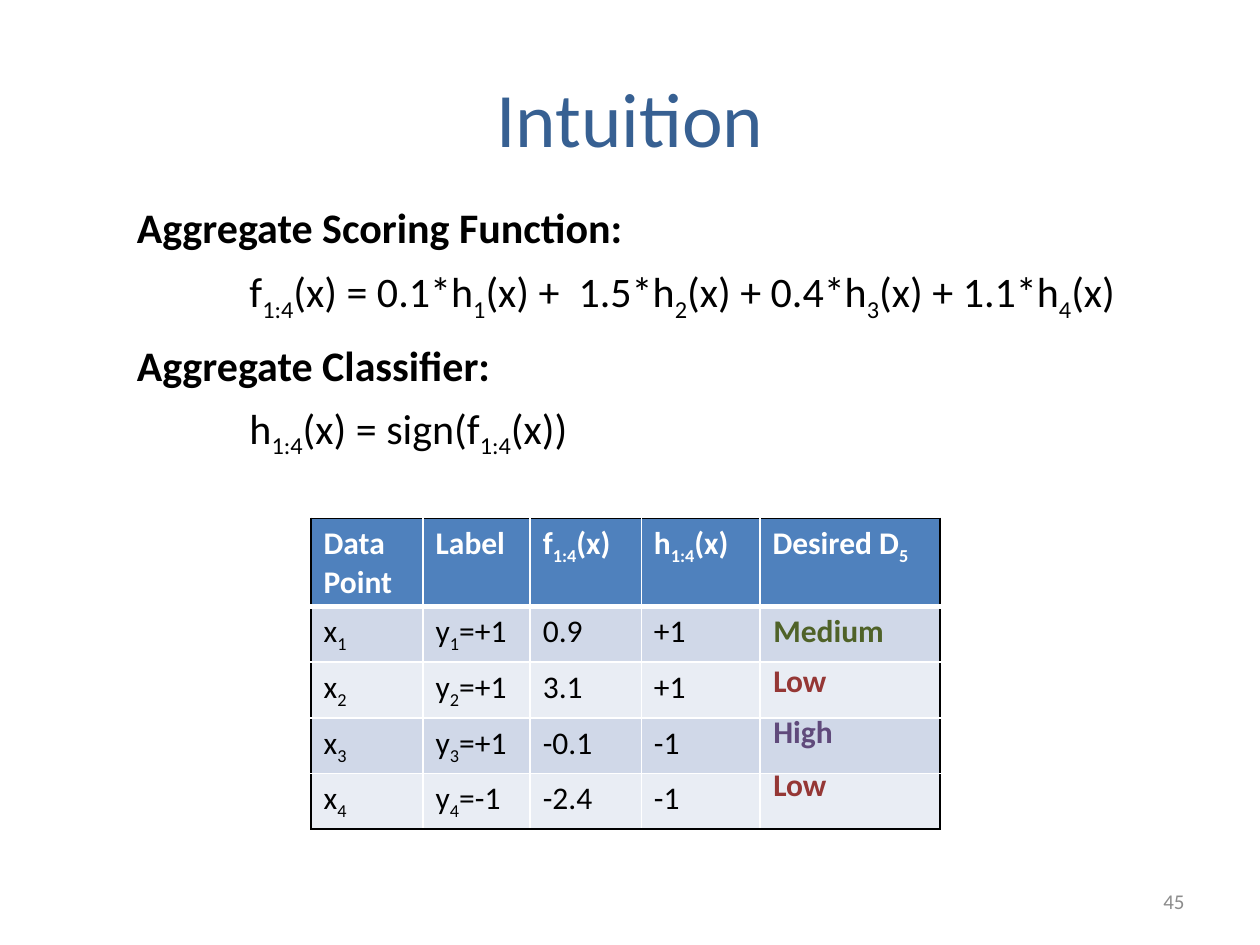
from dataclasses import dataclass

from lxml import etree
from pptx import Presentation
from pptx.dml.color import RGBColor
from pptx.enum import text as t
from pptx.oxml import ns
from pptx.util import Cm, Pt


@dataclass(frozen=True)
class Theme:
    font: str = "Calibri"
    title: str = "376092"
    ink: str = "000000"
    paper: str = "FFFFFF"
    muted: str = "8C8C8C"
    header: str = "4F81BD"
    bands: tuple = ("D0D8E8", "E9EDF4")
    low: str = "953735"
    medium: str = "4F6228"
    high: str = "604A7B"
    title_size: int = 44
    body_size: int = 24
    table_size: int = 18
    number_size: int = 12


theme = Theme()


def write(frame, content, size, color, bold=False, align=t.PP_ALIGN.LEFT):
    """Write one paragraph; parts in [square brackets] become subscripts."""
    paragraph = frame.paragraphs[0]
    paragraph.alignment = align
    look = {"name": theme.font, "size": Pt(size), "bold": bold}
    for index, part in enumerate(content.replace("]", "[").split("[")):
        if not part:
            continue
        run = paragraph.add_run()
        run.text = part
        for key, value in look.items():
            setattr(run.font, key, value)
        run.font.color.rgb = RGBColor.from_string(color)
        if index % 2:
            run._r.get_or_add_rPr().set("baseline", "-25000")
    return paragraph


def add_border(cell, position, side, color, width):
    line = etree.Element(ns.qn(f"a:ln{side}"), w=str(Pt(width)))
    fill = etree.SubElement(line, ns.qn("a:solidFill"))
    etree.SubElement(fill, ns.qn("a:srgbClr"), val=color)
    cell._tc.get_or_add_tcPr().insert(position, line)


prs = Presentation()
prs.slide_width, prs.slide_height = Cm(25.4), Cm(19.05)
slide = prs.slides.add_slide(prs.slide_layouts[6])

# Title and slide number
middle = t.MSO_ANCHOR.MIDDLE
for content, box, size, color, align in (
    ("Intuition", (1.27, 0.76, 22.86, 3.18), theme.title_size, theme.title, t.PP_ALIGN.CENTER),
    ("45", (18.2, 17.66, 5.93, 1.01), theme.number_size, theme.muted, t.PP_ALIGN.RIGHT),
):
    frame = slide.shapes.add_textbox(*map(Cm, box)).text_frame
    frame.word_wrap = True
    frame.vertical_anchor = middle
    write(frame, content, size, color, align=align)

# Data point table
columns = (2.26, 2.16, 2.24, 2.39, 3.63)
rows = (
    ("Data Point", "Label", "f[1:4](x)", "h[1:4](x)", "Desired D[5]"),
    ("x[1]", "y[1]=+1", "0.9", "+1", ""),
    ("x[2]", "y[2]=+1", "3.1", "+1", ""),
    ("x[3]", "y[3]=+1", "-0.1", "-1", ""),
    ("x[4]", "y[4]=-1", "-2.4", "-1", ""),
)
row_height = 1.03
table = slide.shapes.add_table(
    len(rows), len(columns), Cm(6.27), Cm(10.45), Cm(sum(columns)), Cm(row_height * len(rows))
).table
for column, width in zip(table.columns, columns):
    column.width = Cm(width)
for r, row in enumerate(rows):
    table.rows[r].height = Cm(row_height)
    is_header = r == 0
    background = theme.header if is_header else theme.bands[(r - 1) % 2]
    for c, content in enumerate(row):
        cell = table.cell(r, c)
        cell.fill.solid()
        cell.fill.fore_color.rgb = RGBColor.from_string(background)
        write(cell.text_frame, content, theme.table_size,
              theme.paper if is_header else theme.ink, is_header)
        # Black outer frame, white inner lines, thick line under the header
        outer = {"L": c == 0, "R": c == len(columns) - 1, "T": is_header, "B": r == len(rows) - 1}
        for position, (side, on_edge) in enumerate(outer.items()):
            add_border(cell, position, side, theme.ink if on_edge else theme.paper,
                       3 if is_header and side == "B" else 1)

# Desired weights over the last column
for content, top, width, color in (
    ("Medium", 12.19, 2.77, theme.medium),
    ("Low", 13.21, 1.6, theme.low),
    ("High", 14.22, 1.73, theme.high),
    ("Low", 15.29, 1.6, theme.low),
):
    frame = slide.shapes.add_textbox(Cm(15.34), Cm(top), Cm(width), Cm(1.02)).text_frame
    frame.word_wrap = False
    write(frame, content, theme.table_size, color, bold=True)

# Headings with their formulas
for heading, heading_top, heading_width, formula, formula_top, formula_width in (
    ("Aggregate Scoring Function:", 3.94, 10.44,
     "f[1:4](x) = 0.1*h[1](x) +  1.5*h[2](x) + 0.4*h[3](x) + 1.1*h[4](x)", 5.23, 20.9),
    ("Aggregate Classifier:", 6.71, 7.75, "h[1:4](x) = sign(f[1:4](x))", 7.98, 14),
):
    frame = slide.shapes.add_textbox(Cm(2.51), Cm(heading_top), Cm(heading_width), Cm(1.27)).text_frame
    frame.word_wrap = False
    write(frame, heading, theme.body_size, theme.ink, bold=True)

    frame = slide.shapes.add_textbox(Cm(3.51), Cm(formula_top), Cm(formula_width), Cm(1.27)).text_frame
    frame.word_wrap = True
    paragraph = write(frame, formula, theme.body_size, theme.ink)
    paragraph.level = 1
    paragraph._p.get_or_add_pPr().set("marL", str(Cm(1.27)))

prs.save("out.pptx")
